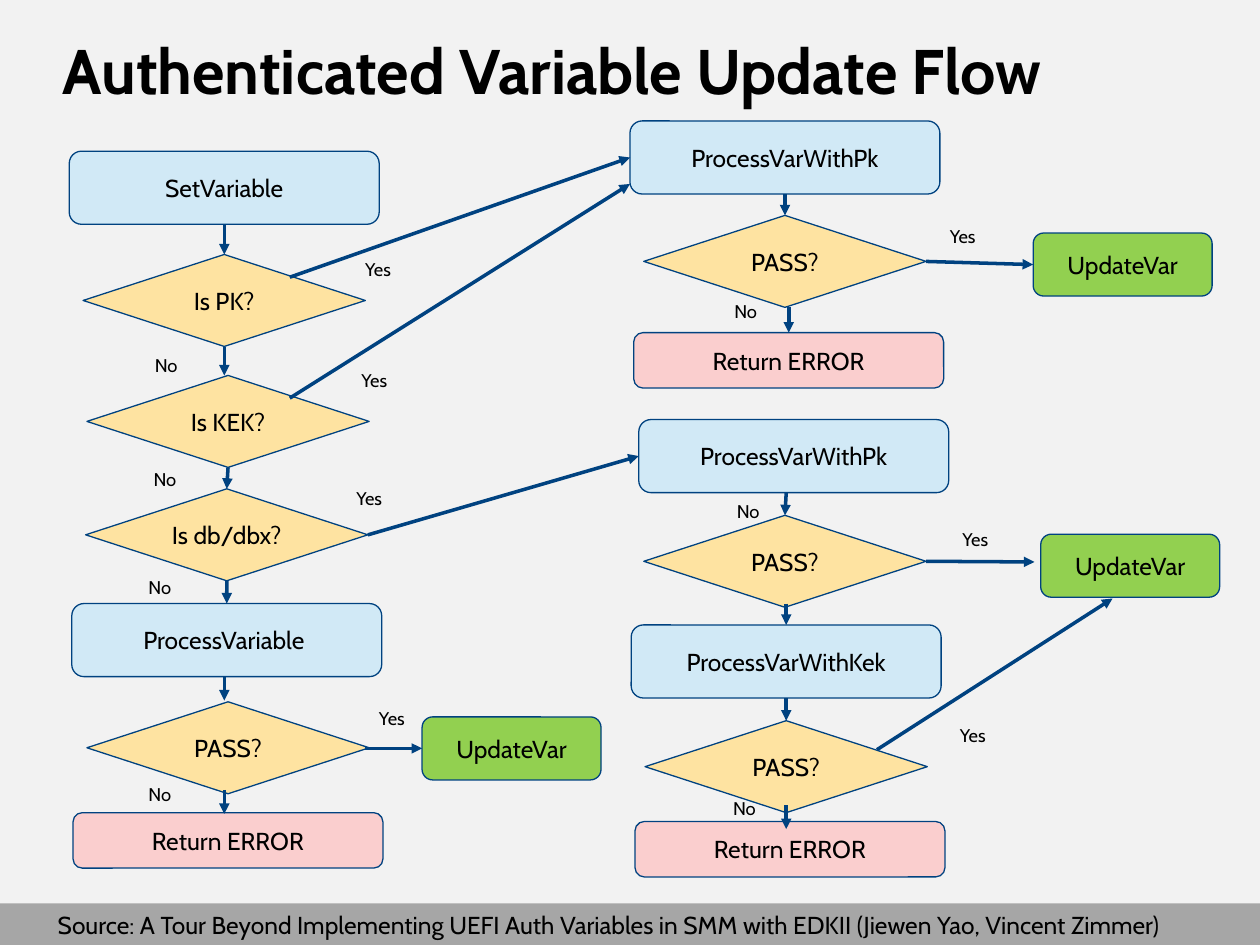
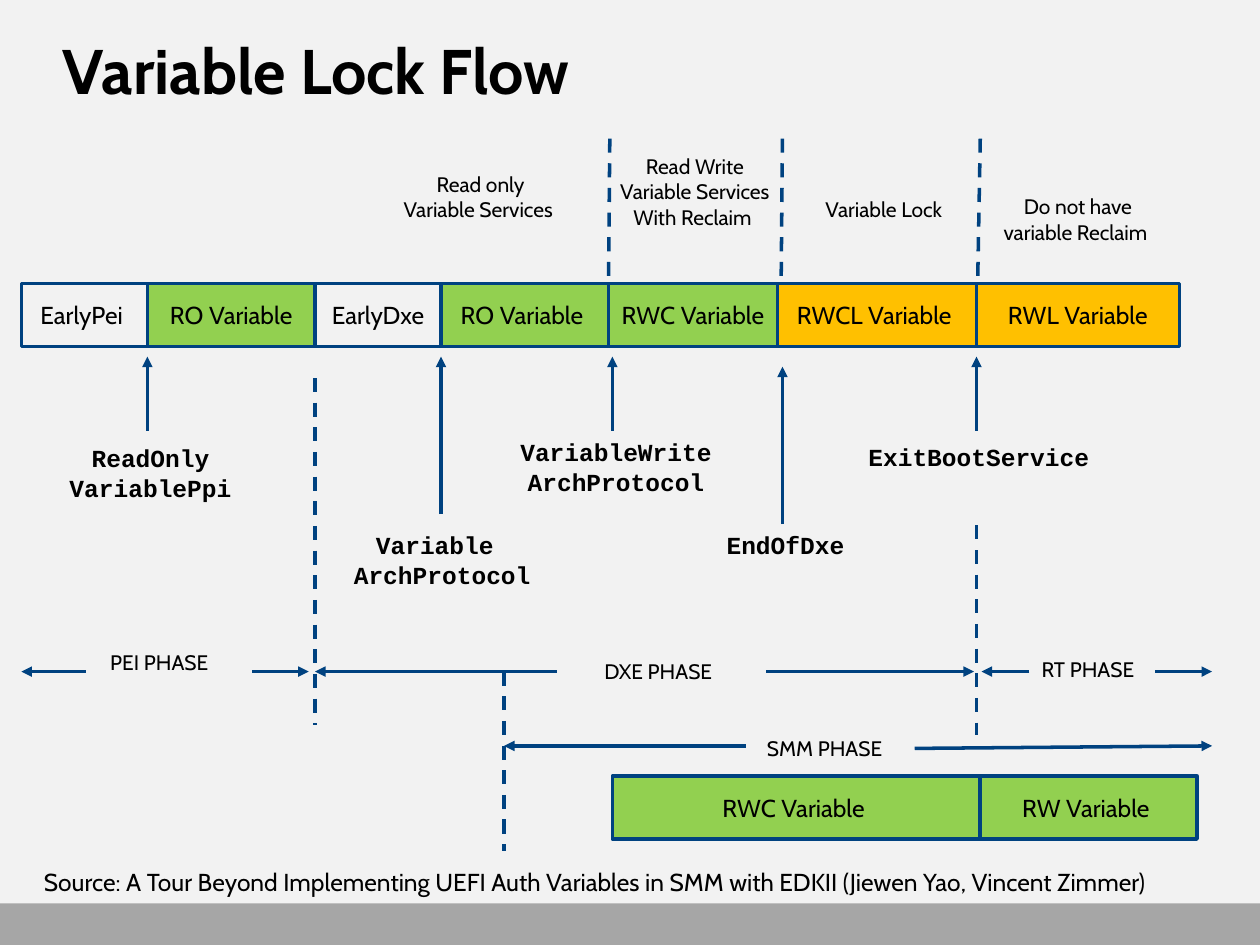
import itertools

import pptx
import pptx.dml.color
import pptx.enum.dml
import pptx.enum.shapes
import pptx.enum.text
import pptx.oxml
import pptx.oxml.ns
import pptx.util

Inches = pptx.util.Inches
RGBColor = pptx.dml.color.RGBColor
SHAPE = pptx.enum.shapes.MSO_SHAPE
ALIGN = pptx.enum.text.PP_ALIGN
ANCHOR = pptx.enum.text.MSO_ANCHOR

BLACK = RGBColor(0x00, 0x00, 0x00)
BACKGROUND = RGBColor(0xF2, 0xF2, 0xF2)
BAND = RGBColor(0xA6, 0xA6, 0xA6)
NAVY = RGBColor(0x00, 0x42, 0x80)
BLUE = RGBColor(0xD1, 0xE9, 0xF6)
YELLOW = RGBColor(0xFE, 0xE3, 0xA1)
PINK = RGBColor(0xFA, 0xCE, 0xCE)
GREEN = RGBColor(0x92, 0xD0, 0x50)
ORANGE = RGBColor(0xFF, 0xC0, 0x00)

FONT = "Cabin"
CODE_FONT = "Courier New"
SOURCE = ("Source: A Tour Beyond Implementing UEFI Auth Variables in SMM "
          "with EDKII (Jiewen Yao, Vincent Zimmer)")
TOP, LEFT, BOTTOM, RIGHT = range(4)

# Kind of flow step: preset, width, height, fill
STEP_KINDS = {
    "process": (SHAPE.ROUNDED_RECTANGLE, 2.46, 0.58, BLUE),
    "decision": (SHAPE.FLOWCHART_DECISION, 2.24, 0.73, YELLOW),
    "error": (SHAPE.ROUNDED_RECTANGLE, 2.46, 0.44, PINK),
    "update": (SHAPE.ROUNDED_RECTANGLE, 1.42, 0.5, GREEN),
}

# Name: kind, text, left, top
STEPS = {
    "set": ("process", "SetVariable", 0.55, 1.2),
    "is pk": ("decision", "Is PK?", 0.66, 2.02),
    "is kek": ("decision", "Is KEK?", 0.69, 2.98),
    "is db": ("decision", "Is db/dbx?", 0.68, 3.88),
    "variable": ("process", "ProcessVariable ", 0.57, 4.79),
    "variable pass": ("decision", "PASS?", 0.69, 5.57),
    "variable update": ("update", "UpdateVar", 3.35, 5.69),
    "variable error": ("error", "Return ERROR", 0.58, 6.45),
    "pk": ("process", "ProcessVarWithPk", 5, 0.96),
    "pk pass": ("decision", "PASS?", 5.11, 1.71),
    "pk update": ("update", "UpdateVar", 8.2, 1.85),
    "pk error": ("error", "Return ERROR", 5.03, 2.64),
    "db pk": ("process", "ProcessVarWithPk", 5.07, 3.33),
    "db pk pass": ("decision", "PASS?", 5.11, 4.09),
    "db update": ("update", "UpdateVar", 8.26, 4.24),
    "kek": ("process", "ProcessVarWithKek", 5.01, 4.96),
    "kek pass": ("decision", "PASS?", 5.12, 5.72),
    "kek error": ("error", "Return ERROR", 5.04, 6.52),
}

# Each end is a point or a step name with a side
FLOWS = [
    (("set", BOTTOM), ("is pk", TOP)),
    (("is pk", BOTTOM), (1.78, 2.98)),
    (("is kek", BOTTOM), ("is db", TOP)),
    (("is db", BOTTOM), ("variable", TOP)),
    ((1.78, 5.37), (1.78, 5.56)),
    ((1.78, 6.27), (1.78, 6.46)),
    ((2.9, 5.94), ("variable update", LEFT)),
    (("pk", BOTTOM), ("pk pass", TOP)),
    ((6.26, 2.44), ("pk error", TOP)),
    (("pk pass", RIGHT), ("pk update", LEFT)),
    ((6.24, 3.91), ("db pk pass", TOP)),
    ((6.24, 4.79), ("kek", TOP)),
    (("db pk pass", RIGHT), (8.21, 4.46)),
    (("kek", BOTTOM), ("kek pass", TOP)),
    ((6.24, 6.39), (6.24, 6.58)),
    (("is db", RIGHT), ("db pk", LEFT)),
    ((2.3, 3.16), (5, 1.46)),
    ((2.3, 2.2), ("pk", LEFT)),
    ((6.96, 5.95), (8.83, 4.75)),
]

# Answer: width and places
ANSWERS = {
    "Yes": (0.46, [(2.8, 2), (2.77, 2.88), (2.73, 3.82), (2.91, 5.56),
                   (7.44, 1.74), (7.54, 4.14), (7.52, 5.7)]),
    "No": (0.39, [(1.13, 2.76), (1.12, 3.67), (1.08, 4.52), (1.08, 6.17),
                  (5.73, 2.33), (5.75, 3.92), (5.72, 6.28)]),
}

STAGE_EDGES = [0.17, 1.17, 2.5, 3.5, 4.83, 6.17, 7.75, 9.36]
STAGES = [("EarlyPei ", None), ("RO Variable", GREEN), ("EarlyDxe", None),
          ("RO Variable ", GREEN), ("RWC Variable", GREEN),
          ("RWCL Variable ", ORANGE), ("RWL Variable", ORANGE)]
SMM_EDGES = [4.86, 7.78, 9.5]
SMM_STAGES = [("RWC Variable ", GREEN), ("RW Variable ", GREEN)]

# Event arrows: x, bottom, top
EVENT_ARROWS = [(1.17, 3.42, 2.83), (3.5, 4.08, 2.83), (4.86, 3.42, 2.83),
                (6.21, 4.16, 2.91), (7.75, 3.42, 2.83)]
# Text, left, top, width
EVENTS = [("ReadOnly\nVariablePpi", 0.42, 3.47, 1.55),
          ("Variable \nArchProtocol ", 2.67, 4.16, 1.68),
          ("VariableWrite\nArchProtocol", 4.03, 3.42, 1.72),
          ("EndOfDxe", 5.52, 4.16, 1.43),
          ("ExitBootService", 6.67, 3.46, 2.2)]

PHASE_ARROWS = [
    ((0.68, 5.33), (0.17, 5.33)), ((2, 5.33), (2.45, 5.33)),
    ((4.42, 5.33), (2.5, 5.33)), ((6.08, 5.33), (7.73, 5.33)),
    ((8.17, 5.33), (7.79, 5.33)), ((9.17, 5.33), (9.62, 5.33)),
    ((5.92, 5.92), (4, 5.92)), ((7.26, 5.94), (9.62, 5.92)),
]
BOUNDARIES = [
    ((2.5, 3), (2.5, 5.75)), ((4, 5.33), (4, 6.75)),
    ((7.75, 4.17), (7.75, 5.83)), ((4.84, 1.1), (4.83, 2.19)),
    ((6.21, 1.1), (6.2, 2.19)), ((7.78, 1.1), (7.76, 2.21)),
]
# Text, left, top, height
CAPTIONS = [
    ("PEI PHASE", 0.55, 5.11, 0.3), ("DXE PHASE", 4.51, 5.18, 0.3),
    ("RT PHASE", 7.92, 5.16, 0.3), ("SMM PHASE", 5.83, 5.79, 0.3),
    ("Read only Variable Services ", 3.1, 1.31, 0.71),
    ("Read Write Variable Services With Reclaim ", 4.8, 1.17, 0.91),
    ("Variable Lock", 6.3, 1.51, 0.3),
    ("Do not have variable Reclaim ", 7.84, 1.49, 0.5),
]


def write(box, text, size=14, font=FONT, bold=False, align=ALIGN.LEFT,
          anchor=ANCHOR.TOP, wrap=True):
    """Fill a shape with text, one paragraph for each line."""
    frame = box.text_frame
    frame.word_wrap = wrap
    frame.vertical_anchor = anchor
    for number, line in enumerate(text.split("\n")):
        para = frame.add_paragraph() if number else frame.paragraphs[0]
        para.alignment = align
        span = para.add_run()
        span.text = line
        span.font.size = pptx.util.Pt(size)
        span.font.name = font
        span.font.bold = bold
        span.font.color.rgb = BLACK


def add_text(page, text, left, top, width, height, **style):
    box = page.shapes.add_textbox(*map(Inches, (left, top, width, height)))
    write(box, text, **style)
    return box


def add_box(page, kind, left, top, width, height, fill, line_width=0, text=""):
    box = page.shapes.add_shape(kind, *map(Inches, (left, top, width, height)))
    box.shadow.inherit = False
    if fill is None:
        box.fill.background()
    else:
        box.fill.solid()
        box.fill.fore_color.rgb = fill
    if line_width:
        box.line.color.rgb = NAVY
        box.line.width = pptx.util.Pt(line_width)
    else:
        box.line.fill.background()
    if text:
        write(box, text, align=ALIGN.CENTER, anchor=ANCHOR.MIDDLE)
    return box


def add_line(page, start, end, dashed=False):
    """Draw a dashed line or, by default, an arrow pointing at end."""
    line = page.shapes.add_connector(
        pptx.enum.shapes.MSO_CONNECTOR.STRAIGHT, *map(Inches, (*start, *end)))
    line.line.color.rgb = NAVY
    line.line.width = pptx.util.Pt(2)
    if dashed:
        line.line.dash_style = pptx.enum.dml.MSO_LINE.DASH
    else:
        tail = pptx.oxml.parse_xml(
            f'<a:tailEnd {pptx.oxml.ns.nsdecls("a")} type="triangle"/>')
        line.line._get_or_add_ln().append(tail)
    line._element.spPr.append(
        pptx.oxml.parse_xml(f'<a:effectLst {pptx.oxml.ns.nsdecls("a")}/>'))
    return line


def add_flow(page, steps, start, end):
    """Draw an arrow, joined to a step wherever an end names one."""
    points = [(0, 0) if place[0] in steps else place for place in (start, end)]
    arrow = add_line(page, *points)
    for (name, side), join in ((start, arrow.begin_connect),
                               (end, arrow.end_connect)):
        if name in steps:
            join(steps[name], side)


def add_stages(page, stages, edges, top):
    """Draw a row of touching boxes between the given edges."""
    for (text, fill), (left, right) in zip(stages, itertools.pairwise(edges)):
        add_box(page, SHAPE.RECTANGLE, left, top, right - left, 0.5, fill, 2, text)


def add_page(deck, title, source_left, source_top):
    page = deck.slides.add_slide(deck.slide_layouts[6])
    page.background.fill.solid()
    page.background.fill.fore_color.rgb = BACKGROUND
    add_box(page, SHAPE.RECTANGLE, 0, 7.17, 10, 0.33, BAND)
    heading = add_text(page, title, 0.5, 0.25, 9, 1.08, size=36, bold=True)
    frame = heading.text_frame
    frame.margin_left = frame.margin_right = 0
    frame.margin_top = frame.margin_bottom = 0
    add_text(page, SOURCE, source_left, source_top, 9.64, 0.34)
    return page


def add_update_flow(deck):
    page = add_page(deck, "Authenticated Variable Update Flow", 0.36, 7.17)
    steps = {}
    for name, (kind, text, left, top) in STEPS.items():
        preset, width, height, fill = STEP_KINDS[kind]
        steps[name] = add_box(page, preset, left, top, width, height, fill,
                              0.75, text)
    for start, end in FLOWS:
        add_flow(page, steps, start, end)
    for answer, (width, places) in ANSWERS.items():
        for left, top in places:
            add_text(page, answer, left, top, width, 0.28, size=10.5, wrap=False)


def add_lock_flow(deck):
    page = add_page(deck, "Variable Lock Flow", 0.25, 6.83)
    add_stages(page, STAGES, STAGE_EDGES, 2.25)
    add_stages(page, SMM_STAGES, SMM_EDGES, 6.16)
    for x, bottom, top in EVENT_ARROWS:
        add_line(page, (x, bottom), (x, top))
    for start, end in PHASE_ARROWS:
        add_line(page, start, end)
    for start, end in BOUNDARIES:
        add_line(page, start, end, dashed=True)
    for text, left, top, height in CAPTIONS:
        add_text(page, text, left, top, 1.43, height, size=12, align=ALIGN.CENTER)
    for text, left, top, width in EVENTS:
        height = 0.57 if "\n" in text else 0.34
        add_text(page, text, left, top, width, height, font=CODE_FONT,
                 bold=True, align=ALIGN.CENTER)


def main():
    deck = pptx.Presentation()
    deck.slide_width = Inches(10)
    deck.slide_height = Inches(7.5)
    add_update_flow(deck)
    add_lock_flow(deck)
    deck.save("out.pptx")


if __name__ == "__main__":
    main()
